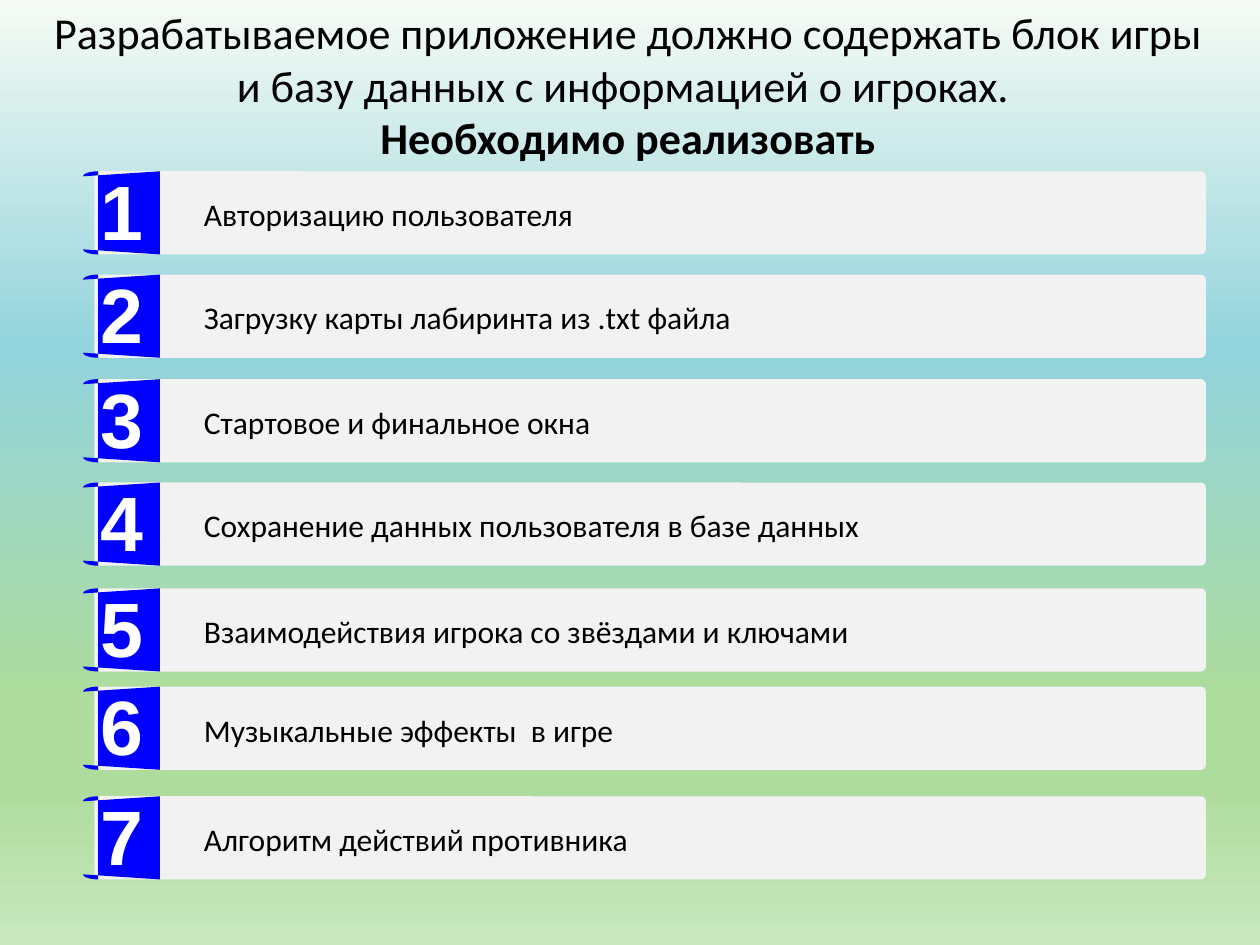
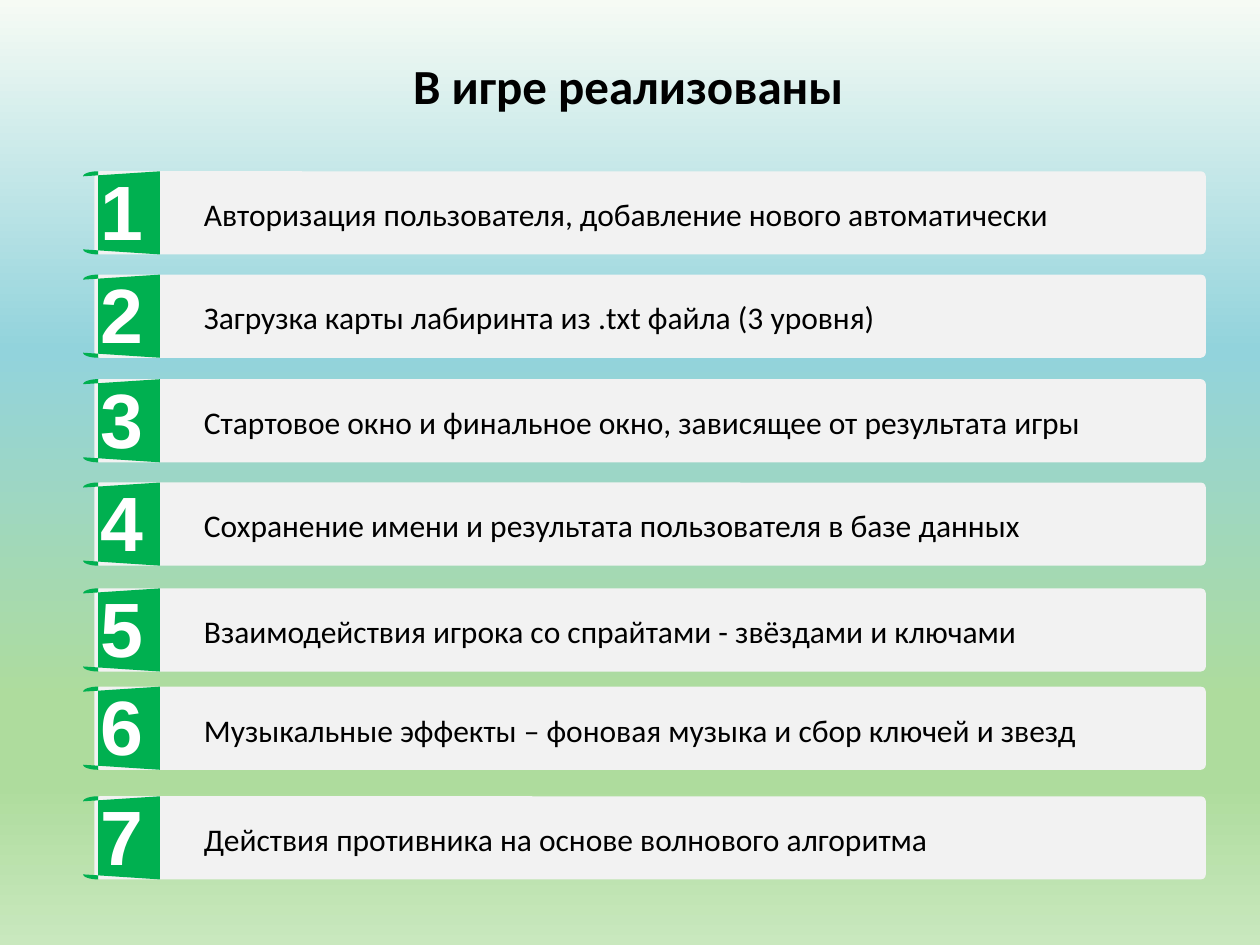
from copy import deepcopy
from math import cos, pi, sin

from pptx import Presentation
from pptx.dml.color import RGBColor
from pptx.enum.shapes import MSO_SHAPE
from pptx.enum.text import MSO_ANCHOR, MSO_AUTO_SIZE, PP_ALIGN
from pptx.oxml.ns import qn
from pptx.util import Inches, Pt

ROUNDED = MSO_SHAPE.ROUNDED_RECTANGLE
MIDDLE, TOP = MSO_ANCHOR.MIDDLE, MSO_ANCHOR.TOP
CENTER, LEFT = PP_ALIGN.CENTER, PP_ALIGN.LEFT
FIXED_SIZE = MSO_AUTO_SIZE.NONE
TITLE_ONLY = 5

BLACK = RGBColor(0x00, 0x00, 0x00)
WHITE = RGBColor(0xFF, 0xFF, 0xFF)
BAR_GREY = RGBColor(0xF2, 0xF2, 0xF2)
BLUE = RGBColor(0x00, 0x00, 0xFF)
GREEN = RGBColor(0x00, 0xB0, 0x50)
BACKGROUND_STOPS = (
    (0, RGBColor(0xF6, 0xFB, 0xF4)),
    (37, RGBColor(0x92, 0xD3, 0xDC)),
    (74, RGBColor(0xAE, 0xDC, 0x9D)),
    (83, RGBColor(0xAE, 0xDC, 0x9D)),
    (100, RGBColor(0xC9, 0xE8, 0xBE)),
)

SLIDE_WIDTH, SLIDE_HEIGHT = Inches(10), Inches(7.5)
TITLE_BOX = (0.2, 0.29, 9.57, 0.76)
ROW_LEFT, ROW_WIDTH, ROW_HEIGHT = 0.66, 8.91, 0.66
ROW_TOPS = (1.36, 2.18, 3.01, 3.83, 4.67, 5.45, 6.32)
BADGE_WIDTH = 0.61
CORNER_WIDTH, CORNER_HEIGHT, CORNER_STEPS = 0.12, 0.04, 8

REQUIRED_TITLE = (
    ("Разрабатываемое приложение должно содержать блок игры "
     "и базу данных с информацией о игроках. \v", False),
    ("Необходимо реализовать", True),
)
REQUIRED = (
    "Авторизацию пользователя",
    "Загрузку карты лабиринта из .txt файла",
    "Стартовое и финальное окна",
    "Сохранение данных пользователя в базе данных",
    "Взаимодействия игрока со звёздами и ключами",
    "Музыкальные эффекты  в игре",
    "Алгоритм действий противника",
)
DONE_TITLE = (("В игре реализованы", True),)
DONE = (
    "Авторизация пользователя, добавление нового автоматически",
    "Загрузка карты лабиринта из .txt файла (3 уровня)",
    "Стартовое окно и финальное окно, зависящее от результата игры",
    "Сохранение имени и результата пользователя в базе данных",
    "Взаимодействия игрока со спрайтами - звёздами и ключами",
    "Музыкальные эффекты – фоновая музыка и сбор ключей и звезд",
    "Действия противника на основе волнового алгоритма",
)


def paint_background(master):
    """Give the slide master the vertical gradient all slides share."""
    fill = master.background.fill
    fill.gradient()
    fill.gradient_angle = 270
    stop_list = master.element.find(".//" + qn("a:gsLst"))
    for _ in BACKGROUND_STOPS[len(stop_list):]:
        stop_list.append(deepcopy(stop_list[0]))
    for stop, (percent, color) in zip(fill.gradient_stops, BACKGROUND_STOPS):
        stop.position = percent / 100
        stop.color.rgb = color


def format_font(font, name, size, color, bold):
    """Set the face, size, colour and weight of a font."""
    font.name, font.size, font.bold = name, Pt(size), bold
    font.color.rgb = color


def paint(shape, color):
    """Fill a shape with a flat colour, without line or shadow."""
    shape.fill.solid()
    shape.fill.fore_color.rgb = color
    shape.line.fill.background()
    shape.shadow.inherit = False


def write_title(slide, parts, size):
    """Place the title and write its plain and bold parts."""
    title = slide.shapes.title
    title.left, title.top, title.width, title.height = map(Inches, TITLE_BOX)
    frame = title.text_frame
    frame.auto_size = FIXED_SIZE
    frame.vertical_anchor = MIDDLE
    paragraph = frame.paragraphs[0]
    paragraph.text = "".join(text for text, _ in parts)
    paragraph.alignment = CENTER
    for run, (_, bold) in zip(paragraph.runs, parts):
        format_font(run.font, "Calibri", size, BLACK, bold)


def add_label(shapes, box, text, alignment, anchor):
    """Add a one-paragraph text box and return its frame."""
    frame = shapes.add_textbox(*map(Inches, box)).text_frame
    frame.word_wrap = True
    frame.vertical_anchor = anchor
    frame.text = text
    frame.paragraphs[0].alignment = alignment
    return frame


def add_badge(shapes, left, top, color):
    """Draw the badge whose two left corners are rounded."""
    right, bottom = left + BADGE_WIDTH, top + ROW_HEIGHT
    angles = [step * pi / 2 / CORNER_STEPS for step in range(CORNER_STEPS + 1)]
    curve = [(left + CORNER_WIDTH * (1 - sin(angle)),
              CORNER_HEIGHT * (1 - cos(angle))) for angle in angles]
    outline = [(right, top), (right, bottom)]
    outline += [(x, bottom - inset) for x, inset in reversed(curve)]
    outline += [(x, top + inset) for x, inset in curve]
    points = [(Inches(x), Inches(y)) for x, y in outline]
    builder = shapes.build_freeform(*points[0])
    builder.add_line_segments(points[1:], close=True)
    paint(builder.convert_to_shape(), color)


def add_row(slide, left, top, number, text, color):
    """Group a grey bar with its numbered badge and its wording."""
    shapes = slide.shapes.add_group_shape().shapes
    bar_box = (left + 0.09, top, ROW_WIDTH - 0.09, ROW_HEIGHT)
    bar = shapes.add_shape(ROUNDED, *map(Inches, bar_box))
    bar.adjustments[0] = 0.06
    paint(bar, BAR_GREY)
    add_badge(shapes, left, top, color)

    wording = add_label(shapes, (left + 0.86, top + 0.14, 7.65, 0.4), text, LEFT, TOP)
    format_font(wording.paragraphs[0].runs[0].font, "Calibri", 18, BLACK, False)

    digit = add_label(shapes, (left + 0.09, top + 0.11, 0.43, 0.39), str(number), CENTER, MIDDLE)
    digit.margin_left = digit.margin_right = digit.margin_top = digit.margin_bottom = 0
    digit.paragraphs[0].space_before = Pt(8.8)
    format_font(digit.paragraphs[0].runs[0].font, "Arial", 44, WHITE, True)


def add_list_slide(presentation, title_parts, title_size, items, color):
    """Add a slide with a title and a numbered list of bars."""
    slide = presentation.slides.add_slide(presentation.slide_layouts[TITLE_ONLY])
    write_title(slide, title_parts, title_size)
    for number, (top, text) in enumerate(zip(ROW_TOPS, items), 1):
        add_row(slide, ROW_LEFT, top, number, text, color)


def main():
    """Build both slides and save the presentation."""
    presentation = Presentation()
    presentation.slide_width, presentation.slide_height = SLIDE_WIDTH, SLIDE_HEIGHT
    paint_background(presentation.slide_master)
    add_list_slide(presentation, REQUIRED_TITLE, 25.2, REQUIRED, BLUE)
    add_list_slide(presentation, DONE_TITLE, 28, DONE, GREEN)
    presentation.save("out.pptx")


if __name__ == "__main__":
    main()
